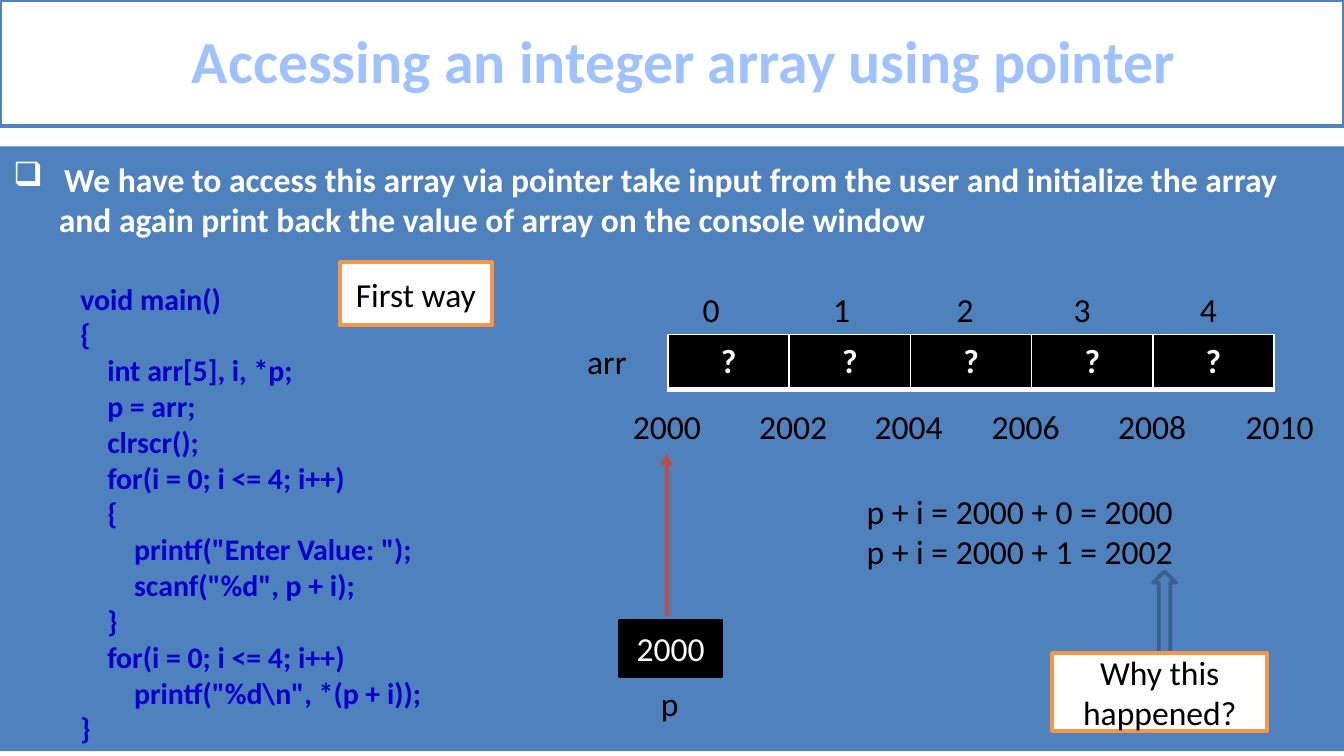
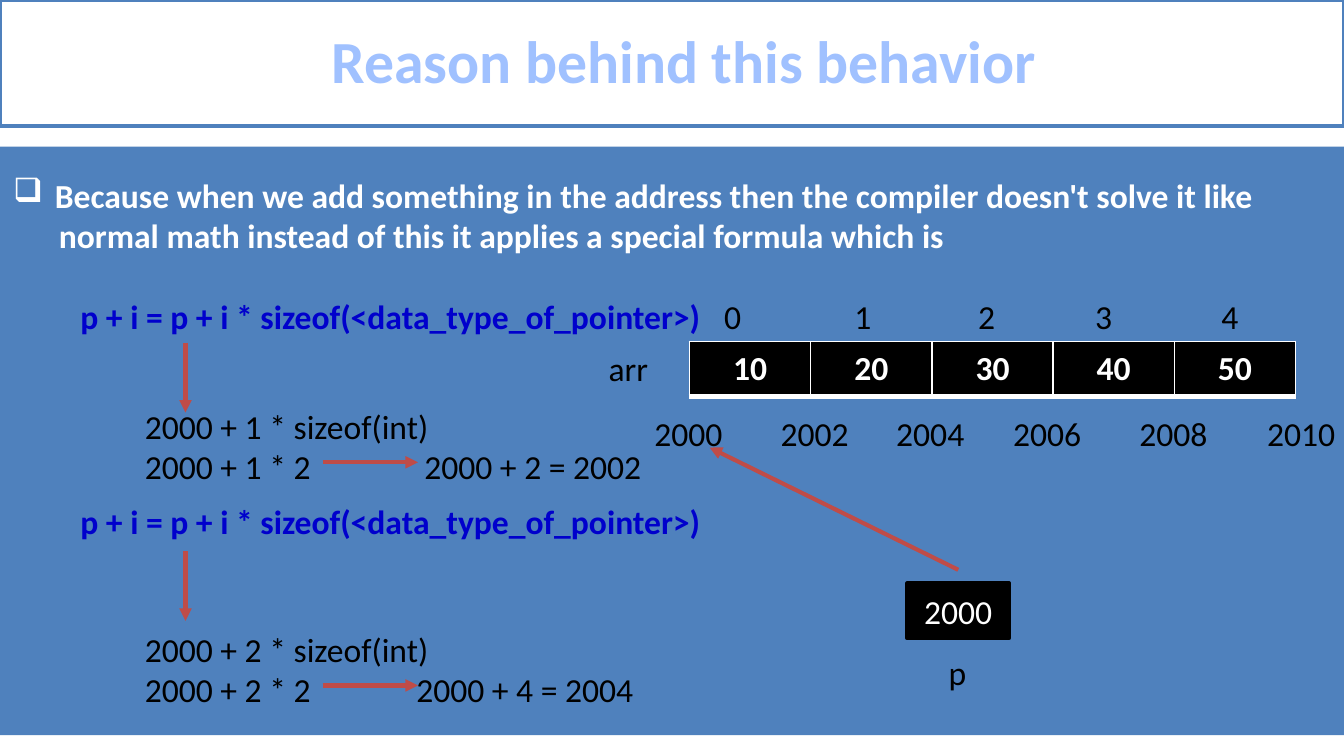
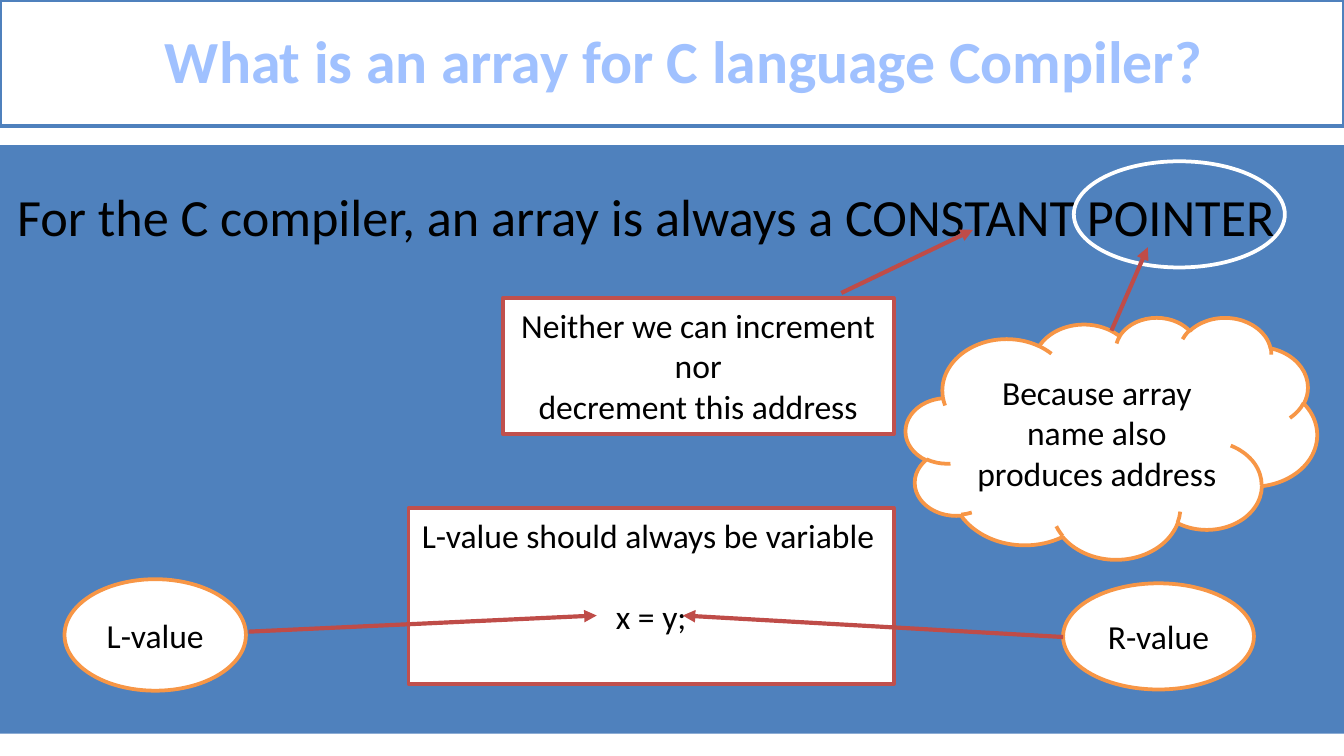
from lxml.etree import SubElement
from pptx import Presentation
from pptx.dml.color import RGBColor
from pptx.enum.shapes import MSO_CONNECTOR, MSO_SHAPE
from pptx.enum.text import MSO_ANCHOR, MSO_AUTO_SIZE, PP_ALIGN
from pptx.oxml import parse_xml
from pptx.oxml.ns import nsdecls, qn
from pptx.util import Emu, Inches, Pt

FONT = "Calibri"
LINE_HEIGHT = 22  # points taken by one line of 18 pt text
COLORS = {
    "white": "FFFFFF",
    "black": "000000",
    "blue": "4F81BD",
    "title": "A0C1FF",
    "code": "0000CC",
    "orange": "F79646",
    "red": "C0504D",
    "arrow": "BF4C48",
    "dark blue": "3A5F8C",
}


def px(length):
    """One px is a hundredth of an inch."""
    return Emu(length * 9144)


def rgb(name):
    return RGBColor.from_string(COLORS[name])


def write(frame, text, size=18, color="black", bold=False, align=None,
          indent=0, hanging=0, bullet=None, tab=None, before=0, spacing=None):
    """Append one paragraph per line of text; `before` applies to the first."""
    for number, line in enumerate(text.split("\n")):
        paragraph = frame.paragraphs[0]
        if paragraph.runs:
            paragraph = frame.add_paragraph()
        properties = paragraph._p.get_or_add_pPr()
        if indent:
            properties.set("marL", str(px(indent)))
            properties.set("indent", str(-px(hanging)))
        if bullet:
            SubElement(properties, qn("a:buChar"), char=bullet)
        if tab:
            tabs = SubElement(properties, qn("a:tabLst"))
            SubElement(tabs, qn("a:tab"), pos=str(px(tab)), algn="l")
        if before and number == 0:
            paragraph.space_before = Pt(before)
        if spacing:
            paragraph.line_spacing = spacing
        paragraph.alignment = align
        run = paragraph.add_run()
        run.text = line
        run.font.name = FONT
        run.font.size = Pt(size)
        run.font.bold = bold
        run.font.color.rgb = rgb(color)


class Deck:
    def __init__(self):
        self.presentation = Presentation()
        self.presentation.slide_width = Inches(10)
        self.presentation.slide_height = Inches(5.625)
        self.slide = None

    def new_slide(self, title, panel_top=109, panel_height=438):
        self.slide = self.presentation.slides.add_slide(
            self.presentation.slide_layouts[6])
        self.box(0, panel_top, 1000, panel_height, fill="blue")
        band = self.box(0, 0, 1000, 94, fill="white", line="blue")
        band.text_frame.margin_left = px(28)
        write(band.text_frame, title, size=32, color="title", bold=True,
              align=PP_ALIGN.CENTER, spacing=0.96)

    def box(self, left, top, width, height, text=None, kind=MSO_SHAPE.RECTANGLE,
            fill=None, line=None, anchor=MSO_ANCHOR.MIDDLE, color="black"):
        shape = self.slide.shapes.add_shape(
            kind, px(left), px(top), px(width), px(height))
        shape.shadow.inherit = False
        if fill:
            shape.fill.solid()
            shape.fill.fore_color.rgb = rgb(fill)
        else:
            shape.fill.background()
        if line:
            shape.line.color.rgb = rgb(line)
            shape.line.width = Pt(2)
        else:
            shape.line.fill.background()
        shape.text_frame.vertical_anchor = anchor
        if text:
            write(shape.text_frame, text, color=color, align=PP_ALIGN.CENTER)
        return shape

    def text(self, left, top, width, height, text, wrap=False, **text_format):
        frame = self.slide.shapes.add_textbox(
            px(left), px(top), px(width), px(height)).text_frame
        frame.word_wrap = wrap
        frame.auto_size = MSO_AUTO_SIZE.SHAPE_TO_FIT_TEXT
        write(frame, text, **text_format)
        return frame

    def statement(self, top, height, first_line, second_line, hanging):
        """Body text box that opens with a bulleted white sentence."""
        frame = self.text(0, top, 1000, height, first_line, wrap=True, color="white",
                          bold=True, indent=hanging, hanging=hanging, bullet="❑")
        write(frame, second_line, color="white", bold=True, indent=34)
        return frame

    def arrow(self, start_x, start_y, end_x, end_y):
        connector = self.slide.shapes.add_connector(
            MSO_CONNECTOR.STRAIGHT, px(start_x), px(start_y), px(end_x), px(end_y))
        connector.line.color.rgb = rgb("arrow")
        connector.line.width = Pt(2.25)
        line = connector._element.spPr.find(qn("a:ln"))
        SubElement(line, qn("a:tailEnd"), type="triangle")
        SubElement(connector._element.spPr, qn("a:effectLst"))

    def array(self, left, top, values):
        """Array cells with index labels above and addresses below."""
        table = self.slide.shapes.add_table(
            1, len(values), px(left), px(top), px(451), px(41)).table
        table.first_row = table.horz_banding = False
        for cell, value in zip(table.rows[0].cells, values):
            cell.fill.solid()
            cell.fill.fore_color.rgb = rgb("black")
            write(cell.text_frame, value, color="white", bold=True,
                  align=PP_ALIGN.CENTER)
            for position, (side, points) in enumerate(
                    [("L", 1), ("R", 1), ("T", 1), ("B", 3)]):
                cell._tc.get_or_add_tcPr().insert(position, parse_xml(
                    f'<a:ln{side} {nsdecls("a")} w="{int(Pt(points))}"><a:solidFill>'
                    f'<a:srgbClr val="{COLORS["white"]}"/></a:solidFill></a:ln{side}>'))
        self.text(left - 70, top, 50, 40, "arr")
        for index, offset in enumerate([16, 113, 205, 292, 386]):
            self.text(left + offset, top - 39, 33, 40, str(index))
        for index, offset in enumerate([-36, 58, 144, 231, 325, 420]):
            self.text(left + offset, top + 48, 71, 40, str(2000 + 2 * index))

    def pointer(self, left, top, label_top):
        self.box(left, top, 76, 41, "2000", fill="black", line="black", color="white")
        self.text(left + 21, label_top, 34, 40, "p")

    def calculation(self, top, index, result, tab):
        """Worked address sum with an arrow to its result."""
        self.text(98, top, 396, 71, f"2000 + {index} * sizeof(int)\n"
                  f"2000 + {index} * 2\t{result}", wrap=True, tab=tab)
        self.arrow(240, top + 47, 311, top + 47)


FIRST_WAY = r"""void main()
{
    int arr[5], i, *p;
    p = arr;
    clrscr();
    for(i = 0; i <= 4; i++)
    {
        printf("Enter Value: ");
        scanf("%d", p + i);
    }
    for(i = 0; i <= 4; i++)
        printf("%d\n", *(p + i));
}"""
FORMULA = "p + i = p + i * sizeof(<data_type_of_pointer>)"


def access_slide(deck):
    deck.new_slide("Accessing an integer array using pointer", panel_height=450)
    body = deck.statement(
        113, 451,
        "We have to access this array via pointer take input from the user "
        "and initialize the array",
        "and again print back the value of array on the console window", hanging=38)
    write(body, FIRST_WAY, size=16, color="code", bold=True, indent=50,
          before=LINE_HEIGHT)
    deck.array(497, 249, ["?"] * 5)
    deck.pointer(461, 462, label_top=503)
    deck.arrow(496, 458, 496, 337)
    deck.text(635, 360, 251, 71, "p + i = 2000 + 0 = 2000\np + i = 2000 + 1 = 2002")
    # Callouts
    deck.box(858, 425, 17, 61, kind=MSO_SHAPE.UP_ARROW, fill="blue", line="dark blue")
    deck.box(783, 486, 160, 58, "Why this\nhappened?", fill="white", line="orange")
    deck.box(253, 195, 113, 47, "First way", fill="white", line="orange")


def reason_slide(deck):
    deck.new_slide("Reason behind this behavior")
    body = deck.statement(
        125, 434,
        "Because when we add something in the address then the compiler "
        "doesn't solve it like",
        "normal math instead of this it applies a special formula which is", hanging=31)
    for blank_lines in (1, 4):
        write(body, FORMULA, color="code", bold=True, indent=50,
              before=blank_lines * LINE_HEIGHT)
    # Worked sums
    for arrow_top in (255, 410):
        deck.arrow(138, arrow_top, 138, arrow_top + 52)
    deck.calculation(297, 1, "2000 + 2 = 2002", tab=208)
    deck.calculation(463, 2, "2000 + 4 = 2004", tab=202)
    # Array and its pointer
    deck.array(513, 254, ["10", "20", "30", "40", "50"])
    deck.pointer(675, 434, label_top=480)
    deck.arrow(713, 424, 528, 333)


def compiler_slide(deck):
    deck.new_slide("What is an array for C language Compiler?", panel_top=108)
    deck.text(3, 132, 986, 57,
              "For the C compiler, an array is always a CONSTANT POINTER",
              wrap=True, size=28)
    # Assignment and its two sides
    assignment = deck.box(304, 378, 361, 131, fill="white", line="red",
                          anchor=MSO_ANCHOR.TOP).text_frame
    write(assignment, "L-value should always be variable", align=PP_ALIGN.LEFT)
    write(assignment, "x = y;", align=PP_ALIGN.CENTER, before=LINE_HEIGHT)
    deck.box(48, 431, 135, 83, "L-value", MSO_SHAPE.OVAL, "white", "orange")
    deck.arrow(185, 470, 444, 458)
    deck.box(791, 434, 142, 79, "R-value", MSO_SHAPE.OVAL, "white", "orange")
    deck.arrow(791, 474, 508, 458)
    # Remarks on the two key words
    deck.box(799, 120, 157, 79, kind=MSO_SHAPE.OVAL, line="white")
    deck.box(374, 222, 291, 101,
             "Neither we can increment\nnor\ndecrement this address",
             fill="white", line="red", anchor=MSO_ANCHOR.TOP)
    deck.arrow(626, 218, 724, 171)
    deck.box(674, 236, 306, 180, "Because array\nname also\nproduces address",
             MSO_SHAPE.CLOUD, "white", "orange")
    deck.arrow(827, 246, 854, 184)


def main():
    deck = Deck()
    access_slide(deck)
    reason_slide(deck)
    compiler_slide(deck)
    deck.presentation.save("out.pptx")


if __name__ == "__main__":
    main()
